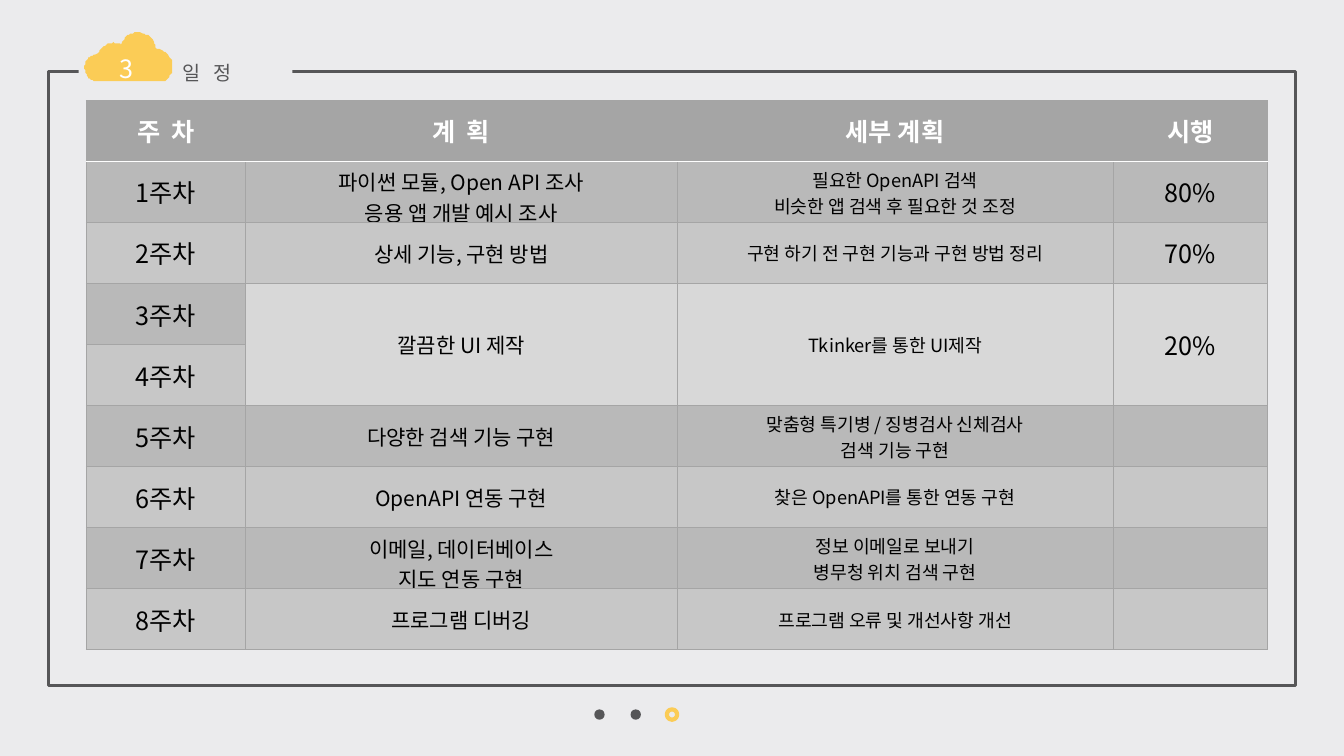
from pptx import Presentation
from pptx.dml.color import RGBColor as RGB
from pptx.enum.shapes import MSO_SHAPE as SHAPE
from pptx.enum.text import MSO_ANCHOR as ANCHOR, PP_ALIGN as ALIGN
from pptx.oxml.ns import qn
from pptx.util import Pt
from lxml import etree

# Content
TITLE, NUMBER = "일 정", "3"
HEADER = ["주 차", "계 획", "세부 계획", "시행"]
WEEKS = [
    ("1주차", "파이썬 모듈, Open API 조사\n응용 앱 개발 예시 조사",
     "필요한 OpenAPI 검색\n비슷한 앱 검색 후 필요한 것 조정", "80%"),
    ("2주차", "상세 기능, 구현 방법", "구현 하기 전 구현 기능과 구현 방법 정리", "70%"),
    ("3주차", "깔끔한 UI 제작", "Tkinker를 통한 UI제작", "20%"),
    ("4주차", None, None, None),  # None joins the cell above
    ("5주차", "다양한 검색 기능 구현", "맞춤형 특기병 / 징병검사 신체검사\n검색 기능 구현", ""),
    ("6주차", "OpenAPI 연동 구현", "찾은 OpenAPI를 통한 연동 구현", ""),
    ("7주차", "이메일, 데이터베이스\n지도 연동 구현", "정보 이메일로 보내기\n병무청 위치 검색 구현", ""),
    ("8주차", "프로그램 디버깅", "프로그램 오류 및 개선사항 개선", ""),
]
COL_WIDTHS = [113.9, 308, 311.6, 110.3]
ROW_HEIGHT = 43.6
TABLE_AT = (61.6, 71.7)
DOTS, DOT_PITCH, DOT_SIZE = 3, 25.9, 7.4

# Cloud outline in points: two numbers are a line, six are a Bézier curve
CLOUD_START = (98.6, 23.2)
CLOUD = [
    (105, 23.2, 110.2, 27.7, 111.1, 33.8), (111.6, 34.8), (112.8, 35),
    (118.8, 36, 123.3, 41.5, 123.3, 47.5), (123.3, 51.1, 121.9, 54.5, 119.3, 56.9),
    (118.1, 58), (67, 58), (66.7, 57.8),
    (62.9, 56.2, 60.4, 52.6, 60.4, 48.2), (60.4, 43.6, 63.8, 39.8, 68.4, 38.9),
    (69.5, 38.3), (70, 38.2), (72.2, 33.5, 76.3, 30.5, 81.4, 30.5),
    (83, 30.5, 84.7, 30.9, 86.2, 31.5), (86.5, 31.6), (86.6, 31.2),
    (88.6, 26.5, 93, 23.2, 98.6, 23.2),
]

THEME = dict(
    font="Noto Sans CJK KR", bg="EBEBED", ink="565658", accent="FBCC56",
    white="FFFFFF", black="000000", grid="A5A5A5",
    dark="B9B9B9", light="C7C7C7", merged="D8D8D8",
    title=14, number=18, head=18, columns=[18, 15, 13, 18],
)


def color(name):
    return RGB.from_string(THEME[name])


def write(tf, text, size, ink="black", bold=False, align=ALIGN.LEFT, spacing=0):
    for i, line in enumerate(text.split("\n")):
        p = tf.paragraphs[0] if i == 0 else tf.add_paragraph()
        p.alignment = align
        r = p.add_run()
        r.text = line
        r.font.size, r.font.bold, r.font.name = Pt(size), bold, THEME["font"]
        r.font.color.rgb = color(ink)
        rPr = r._r.get_or_add_rPr()
        if spacing:
            rPr.set("spc", str(spacing))
        etree.SubElement(rPr, qn("a:ea")).set("typeface", THEME["font"])


def paint(s, fill=None, line=None, width=1):
    s.shadow.inherit = False
    if fill:
        s.fill.solid()
        s.fill.fore_color.rgb = color(fill)
    else:
        s.fill.background()
    if line:
        s.line.color.rgb = color(line)
        s.line.width = Pt(width)
    else:
        s.line.fill.background()


def add_shape(kind, x, y, w, h, **style):
    s = slide.shapes.add_shape(kind, Pt(x), Pt(y), Pt(w), Pt(h))
    paint(s, **style)


def add_text(shapes, x, y, w, h, text, **style):
    tf = shapes.add_textbox(Pt(x), Pt(y), Pt(w), Pt(h)).text_frame
    tf.word_wrap = False
    write(tf, text, **style)


def outline(start, steps, parts=12):
    """Turn lines and Bézier curves into a list of points."""
    points = [start]
    for step in steps:
        if len(step) == 2:
            points.append(step)
            continue
        x0, y0 = points[-1]
        x1, y1, x2, y2, x3, y3 = step
        for t in (k / parts for k in range(1, parts + 1)):
            a, b, c, d = (1 - t) ** 3, 3 * t * (1 - t) ** 2, 3 * t * t * (1 - t), t ** 3
            points.append((a * x0 + b * x1 + c * x2 + d * x3,
                           a * y0 + b * y1 + c * y2 + d * y3))
    return points


def border(cell, **sides):
    tcPr = cell._tc.get_or_add_tcPr()
    for i, side in enumerate("LRTB"):
        name, width = sides.get(side, ("grid", 0.5))
        ln = etree.Element(qn("a:ln" + side), w=str(Pt(width)))
        fill = etree.SubElement(ln, qn("a:solidFill"))
        etree.SubElement(fill, qn("a:srgbClr"), val=THEME[name])
        tcPr.insert(i, ln)


prs = Presentation()
prs.slide_width, prs.slide_height = Pt(960), Pt(540)
slide = prs.slides.add_slide(prs.slide_layouts[6])
slide.background.fill.solid()
slide.background.fill.fore_color.rgb = color("bg")

# Frame, page dots and the gap for the title
add_shape(SHAPE.RECTANGLE, 34.6, 51.1, 890.6, 438.5, line="ink", width=2)
for i in range(DOTS):
    style = dict(line="accent", width=3) if i == DOTS - 1 else dict(fill="ink")
    add_shape(SHAPE.OVAL, 424.5 + i * DOT_PITCH, 506.7, DOT_SIZE, DOT_SIZE, **style)
add_shape(SHAPE.RECTANGLE, 56.2, 41, 152.6, 20.9, fill="bg")
add_text(slide.shapes, 123.1, 40.3, 57.6, 24.5, TITLE,
         size=THEME["title"], ink="ink", spacing=310)

# Numbered cloud
group = slide.shapes.add_group_shape().shapes
points = outline(CLOUD_START, CLOUD)
pen = group.build_freeform(*points[0], scale=Pt(1))
pen.add_line_segments(points[1:], close=True)
paint(pen.convert_to_shape(), fill="accent")
add_text(group, 78.5, 34.6, 26.6, 28.8, NUMBER, size=THEME["number"], ink="white")

# Schedule table
rows = [HEADER] + WEEKS
frame = slide.shapes.add_table(len(rows), len(HEADER), *map(Pt, TABLE_AT),
                               Pt(sum(COL_WIDTHS)), Pt(ROW_HEIGHT * len(rows)))
table = frame.table
for col, width in zip(table.columns, COL_WIDTHS):
    col.width = Pt(width)
for r, row in enumerate(rows):
    table.rows[r].height = Pt(ROW_HEIGHT)
    for c, text in enumerate(row):
        cell = table.cell(r, c)
        joined = text is None or (r + 1 < len(rows) and rows[r + 1][c] is None)
        fill = "grid" if r == 0 else "merged" if joined else "dark" if r % 2 else "light"
        cell.fill.solid()
        cell.fill.fore_color.rgb = color(fill)
        cell.vertical_anchor = ANCHOR.MIDDLE
        border(cell, **({"B": ("white", 1)} if r == 0 else {"T": ("white", 1)} if r == 1 else {}))
        if text is None:
            table.cell(r - 1, c).merge(cell)
        elif r == 0:
            write(cell.text_frame, text, THEME["head"], ink="white", bold=True,
                  align=ALIGN.CENTER, spacing=200 if c < 2 else 0)
        elif text:
            write(cell.text_frame, text, THEME["columns"][c], align=ALIGN.CENTER)

prs.save("out.pptx")
